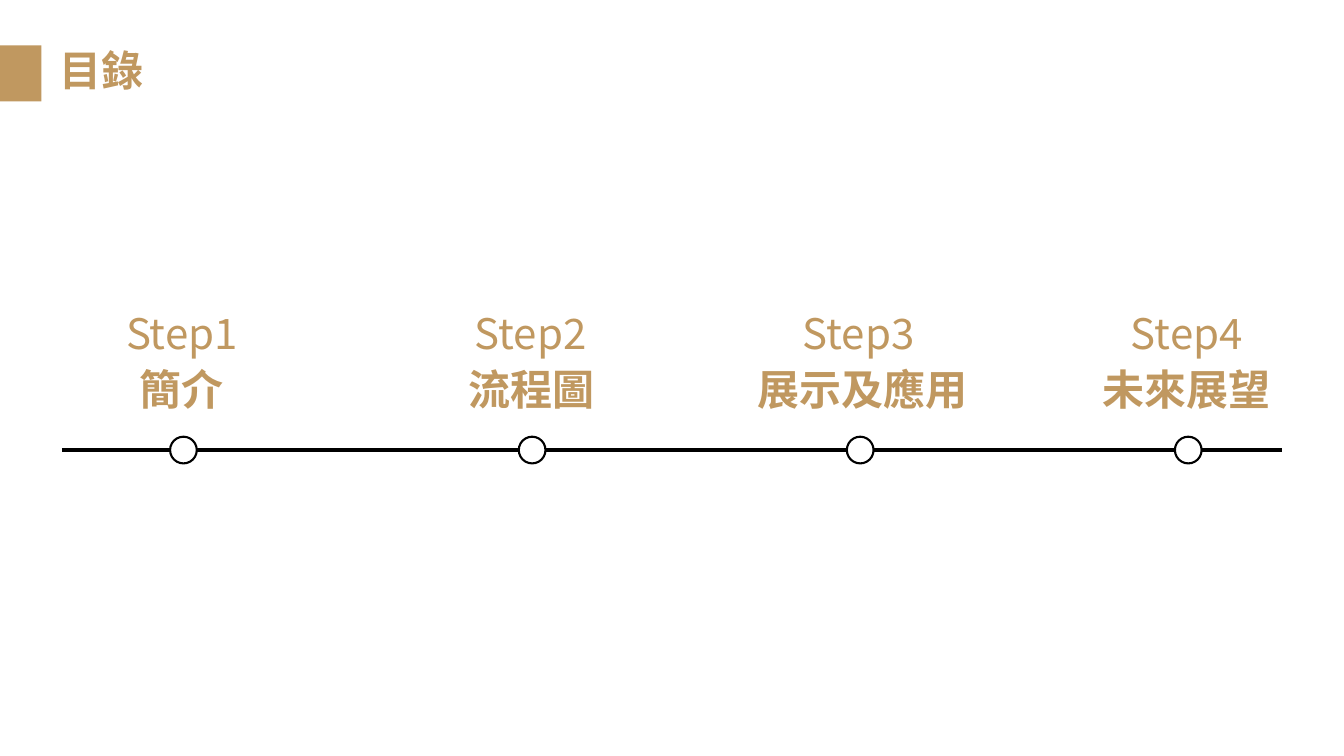
from dataclasses import dataclass

from lxml.etree import SubElement
from pptx import Presentation
from pptx.dml.color import RGBColor
from pptx.enum.shapes import MSO_CONNECTOR as Link, MSO_SHAPE as Form
from pptx.enum.text import MSO_ANCHOR as Anchor, MSO_AUTO_SIZE as Fit, PP_ALIGN as Align
from pptx.oxml.ns import qn
from pptx.shapes.autoshape import Shape
from pptx.slide import Slide
from pptx.util import Inches, Pt

FONT = "Noto Sans CJK SC"
GOLD, BLACK, WHITE = "C09860", "000000", "FFFFFF"
DOT = 0.53
AXIS = 8.93


@dataclass
class Step:
    title: str
    node: float
    mid: float
    width: float = 4.11


STEPS = [
    Step("簡介", 3.64, 3.61),
    Step("流程圖", 10.56, 10.54),
    Step("展示及應用", 17.07, 17.11, 5.06),
    Step("未來展望", 23.58, 23.55),
]


def color(code: str) -> RGBColor:
    return RGBColor.from_string(code)


def add_text(slide: Slide, text: str, x: float, y: float, w: float, h: float,
             bold: bool = True, pad: float = 0) -> Shape:
    box = slide.shapes.add_textbox(Inches(x), Inches(y), Inches(w), Inches(h))
    frame = box.text_frame
    frame.word_wrap = True
    frame.vertical_anchor = Anchor.MIDDLE
    frame.margin_left = frame.margin_right = Inches(pad)
    frame.margin_top = frame.margin_bottom = Inches(pad)
    frame.text = text
    para = frame.paragraphs[0]
    para.alignment = Align.CENTER
    run = para.runs[0]
    font = run.font
    font.name, font.size, font.bold = FONT, Pt(60), bold
    font.color.rgb = color(GOLD)
    SubElement(font._element, qn("a:ea"), typeface=FONT)
    return box


def add_form(slide: Slide, form: Form, x: float, y: float, w: float, h: float,
             fill: str) -> Shape:
    shape = slide.shapes.add_shape(form, Inches(x), Inches(y), Inches(w), Inches(h))
    shape.shadow.inherit = False
    shape.fill.solid()
    shape.fill.fore_color.rgb = color(fill)
    shape.line.fill.background()
    return shape


def add_head(slide: Slide) -> None:
    head = add_text(slide, "目錄", 1.12, 0.94, 1.8, 1.02, pad=0.06)
    head.text_frame.word_wrap = False
    head.text_frame.auto_size = Fit.SHAPE_TO_FIT_TEXT
    para = head.text_frame.paragraphs[0]
    para.alignment = Align.LEFT
    para.line_spacing = 0.9
    add_form(slide, Form.RECTANGLE, 0, 0.9, 0.82, 1.11, GOLD)


def add_axis(slide: Slide) -> None:
    axis = slide.shapes.add_connector(
        Link.STRAIGHT, Inches(1.23), Inches(AXIS), Inches(25.43), Inches(AXIS))
    axis.line.color.rgb = color(BLACK)
    axis.line.width = Pt(5)
    SubElement(axis._element.spPr, qn("a:effectLst"))


def add_step(slide: Slide, num: int, step: Step) -> None:
    add_text(slide, step.title, step.mid - step.width / 2, 7.17, step.width, 1.1)
    add_text(slide, f"Step{num}", step.node - 1.55, 6.04, 3.04, 1.11, bold=False)
    dot = add_form(slide, Form.OVAL, step.node - DOT / 2, AXIS - DOT / 2, DOT, DOT, WHITE)
    dot.line.color.rgb = color(BLACK)
    dot.line.width = Pt(3)


def main() -> None:
    deck = Presentation()
    deck.slide_width, deck.slide_height = Inches(26.67), Inches(15)
    slide = deck.slides.add_slide(deck.slide_layouts[6])
    add_head(slide)
    add_axis(slide)
    for num, step in enumerate(STEPS, 1):
        add_step(slide, num, step)
    deck.save("out.pptx")


if __name__ == "__main__":
    main()
